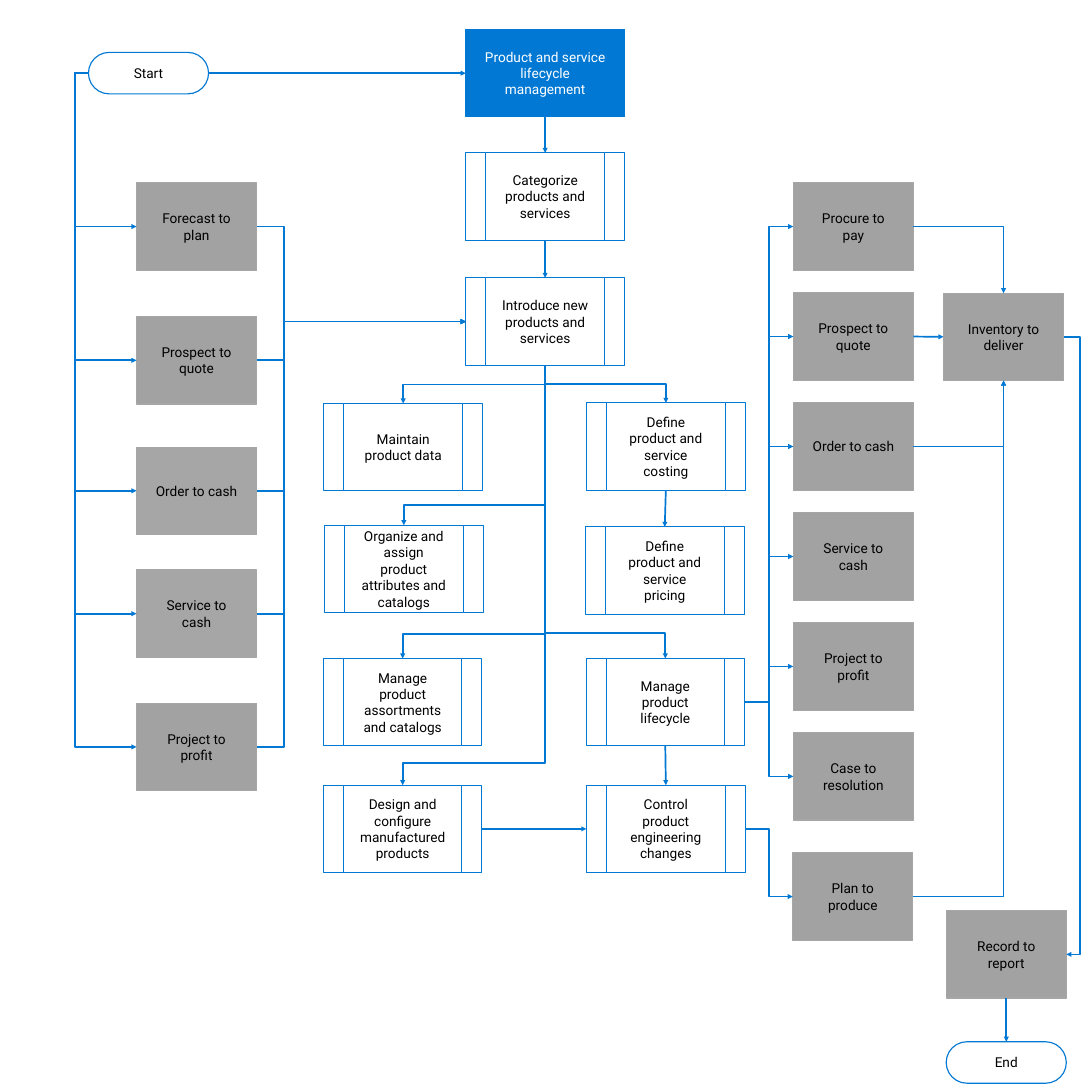
import dataclasses

import pptx
import pptx.dml.color
import pptx.enum.shapes
import pptx.enum.text
import pptx.oxml.ns
import pptx.util
from lxml import etree
from pptx.util import Inches

SHAPE = pptx.enum.shapes.MSO_SHAPE
CONNECTOR = pptx.enum.shapes.MSO_CONNECTOR
TOP, LEFT, BOTTOM, RIGHT = range(4)
qn = pptx.oxml.ns.qn


@dataclasses.dataclass(frozen=True)
class Theme:
    """Colours, type and line weights of the flowchart."""
    blue: str = "0078D4"
    white: str = "FFFFFF"
    black: str = "000000"
    gray: str = "A2A2A2"
    light_gray: str = "A6A6A6"
    font: str = "Roboto"
    text_size: float = 18
    outline: float = 1.5
    flow: float = 2.25


THEME = Theme()


def rgb(value):
    """Turn a hex string into a colour."""
    return pptx.dml.color.RGBColor.from_string(value)


def add_step(slide, geometry, text, at, size, fill=None, line=THEME.blue, ink=THEME.black):
    """Add one labelled flowchart step."""
    step = slide.shapes.add_shape(geometry, *map(Inches, at + size))
    step.shadow.inherit = False
    if fill:
        step.fill.solid()
        step.fill.fore_color.rgb = rgb(fill)
    else:
        step.fill.background()
    step.line.color.rgb = rgb(line)
    step.line.width = pptx.util.Pt(THEME.outline)
    label = step.text_frame
    label.word_wrap = True
    label.vertical_anchor = pptx.enum.text.MSO_ANCHOR.MIDDLE
    label.margin_left = label.margin_right = Inches(0.3)
    label.margin_top = label.margin_bottom = Inches(0.24)
    paragraph = label.paragraphs[0]
    paragraph.alignment = pptx.enum.text.PP_ALIGN.CENTER
    run = paragraph.add_run()
    run.text = text
    run.font.name = THEME.font
    run.font.size = pptx.util.Pt(THEME.text_size)
    run.font.color.rgb = rgb(ink)
    return step


def add_terminal(slide, text, x, y):
    """Add a rounded start or end step."""
    terminal = add_step(slide, SHAPE.ROUNDED_RECTANGLE, text, (x, y), (2.2, 0.76))
    terminal.adjustments[0] = 0.5
    return terminal


def add_related(slide, text, x, y, fill=THEME.gray):
    """Add a gray step for a related end-to-end process."""
    return add_step(slide, SHAPE.RECTANGLE, text, (x, y), (2.2, 1.6), fill, THEME.light_gray)


def add_process(slide, text, x, y, width=2.91):
    """Add a predefined-process step."""
    return add_step(slide, SHAPE.FLOWCHART_PREDEFINED_PROCESS, text, (x, y), (width, 1.6), THEME.white)


def add_arrow(slide, source, source_side, target, target_side, kind=CONNECTOR.STRAIGHT):
    """Connect two steps with an arrow."""
    arrow = slide.shapes.add_connector(kind, 0, 0, 0, 0)
    arrow.begin_connect(source, source_side)
    arrow.end_connect(target, target_side)
    arrow.line.color.rgb = rgb(THEME.blue)
    arrow.line.width = pptx.util.Pt(THEME.flow)
    properties = arrow._element.spPr
    etree.SubElement(properties.find(qn("a:ln")), qn("a:tailEnd"), type="triangle")
    etree.SubElement(properties, qn("a:effectLst"))
    return arrow


def set_turn(arrow, share):
    """Place the middle leg of an elbow at a share of its length."""
    guides = arrow._element.spPr.find(qn("a:prstGeom")).find(qn("a:avLst"))
    etree.SubElement(guides, qn("a:gd"), name="adj1", fmla=f"val {round(share * 100000)}")


def add_side_elbow(slide, source, source_side, target, target_side, turn_x):
    """Leave sideways, turn at turn_x and enter sideways."""
    arrow = add_arrow(slide, source, source_side, target, target_side, CONNECTOR.ELBOW)
    set_turn(arrow, (Inches(turn_x) - arrow.begin_x) / (arrow.end_x - arrow.begin_x))


def add_drop_elbow(slide, source, target, turn_y):
    """Leave downwards, turn at turn_y and enter from above."""
    arrow = add_arrow(slide, source, BOTTOM, target, TOP, CONNECTOR.ELBOW)
    x, y = arrow.begin_x, arrow.begin_y
    across, down = arrow.end_x - x, arrow.end_y - y
    frame = arrow._element.spPr.find(qn("a:xfrm"))
    frame.set("rot", str((270 if across > 0 else 90) * 60000))
    frame.set("flipH", str(int(across > 0)))
    frame.set("flipV", "0")
    arrow.width, arrow.height = down, abs(across)
    arrow.left = x + (across - down) // 2
    arrow.top = y + (down - abs(across)) // 2
    set_turn(arrow, (Inches(turn_y) - y) / down)


def add_corner(slide, source, target, target_side):
    """Leave to the right and turn once into the target."""
    arrow = add_arrow(slide, source, RIGHT, target, target_side, CONNECTOR.ELBOW)
    arrow._element.spPr.find(qn("a:prstGeom")).set("prst", "bentConnector2")


def main():
    """Build the product and service lifecycle flowchart."""
    deck = pptx.Presentation()
    deck.slide_width = deck.slide_height = Inches(20)
    slide = deck.slides.add_slide(deck.slide_layouts[6])

    start = add_terminal(slide, "Start", 1.62, 0.96)
    end = add_terminal(slide, "End", 17.33, 19.08)
    lifecycle = add_step(slide, SHAPE.RECTANGLE, "Product and service lifecycle management",
                         (8.53, 0.54), (2.91, 1.6), THEME.blue, ink=THEME.white)
    categorize = add_process(slide, "Categorize products and services", 8.53, 2.8)
    introduce = add_process(slide, "Introduce new products and services", 8.53, 5.09)
    maintain = add_process(slide, "Maintain product data", 5.93, 7.39)
    organize = add_process(slide, "Organize and assign product attributes and catalogs", 5.94, 9.62)
    assortments = add_process(slide, "Manage product assortments and catalogs", 5.93, 12.06, 2.89)
    design = add_process(slide, "Design and configure manufactured products", 5.93, 14.38, 2.89)
    costing = add_process(slide, "Define product and service costing", 10.74, 7.38)
    pricing = add_process(slide, "Define product and service pricing", 10.72, 9.65)
    manage = add_process(slide, "Manage product lifecycle", 10.74, 12.06, 2.89)
    control = add_process(slide, "Control product engineering changes", 10.74, 14.38)

    for text, y, fill in (("Forecast to plan", 3.35, THEME.gray),
                          ("Prospect to quote", 5.8, THEME.gray),
                          ("Order to cash", 8.19, THEME.light_gray),
                          ("Service to cash", 10.44, THEME.light_gray),
                          ("Project to profit", 12.88, THEME.gray)):
        inbound = add_related(slide, text, 2.5, y, fill)
        add_side_elbow(slide, start, LEFT, inbound, LEFT, 1.37)
        add_side_elbow(slide, inbound, RIGHT, introduce, LEFT, 5.2)

    names = ("Procure to pay", "Prospect to quote", "Order to cash",
             "Service to cash", "Project to profit", "Case to resolution")
    pitch = (13.42 - 3.35) / (len(names) - 1)
    outbound = [add_related(slide, text, 14.53, 3.35 + row * pitch) for row, text in enumerate(names)]
    for related in outbound:
        add_side_elbow(slide, manage, RIGHT, related, LEFT, 14.08)
    procure, prospect, order = outbound[:3]
    plan = add_related(slide, "Plan to produce", 14.52, 15.62)
    inventory = add_related(slide, "Inventory to deliver", 17.28, 5.37)
    record = add_related(slide, "Record to report", 17.33, 16.68)

    for target, turn_y in ((maintain, 7.04), (organize, 9.25), (assortments, 11.61),
                           (manage, 11.6), (costing, 7.03), (design, 13.97)):
        add_drop_elbow(slide, introduce, target, turn_y)
    for upper, lower in ((lifecycle, categorize), (categorize, introduce), (costing, pricing),
                         (manage, control), (record, end)):
        add_arrow(slide, upper, BOTTOM, lower, TOP)
    for source, target in ((start, lifecycle), (design, control), (prospect, inventory)):
        add_arrow(slide, source, RIGHT, target, LEFT)
    add_side_elbow(slide, control, RIGHT, plan, LEFT, 14.08)
    add_side_elbow(slide, inventory, RIGHT, record, RIGHT, 19.78)
    for source, side in ((procure, TOP), (order, BOTTOM), (plan, BOTTOM)):
        add_corner(slide, source, inventory, side)

    deck.save("out.pptx")


if __name__ == "__main__":
    main()
